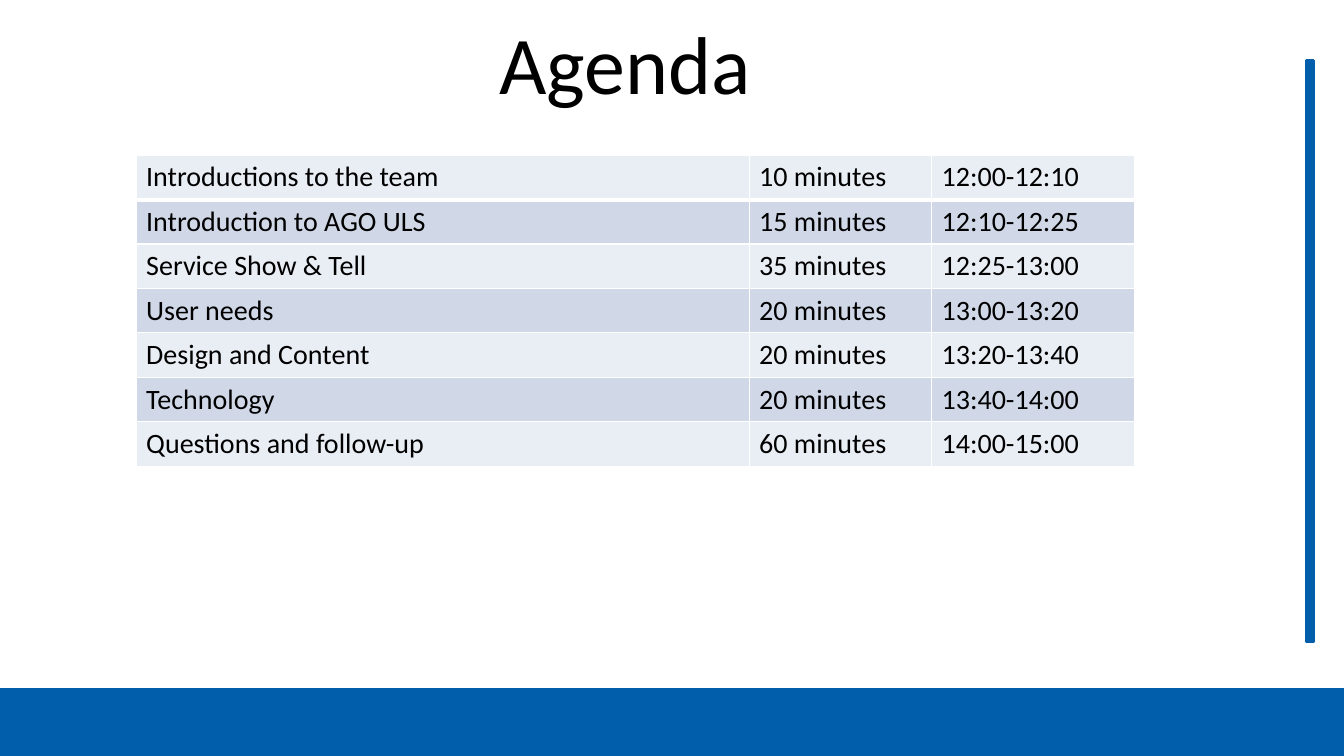
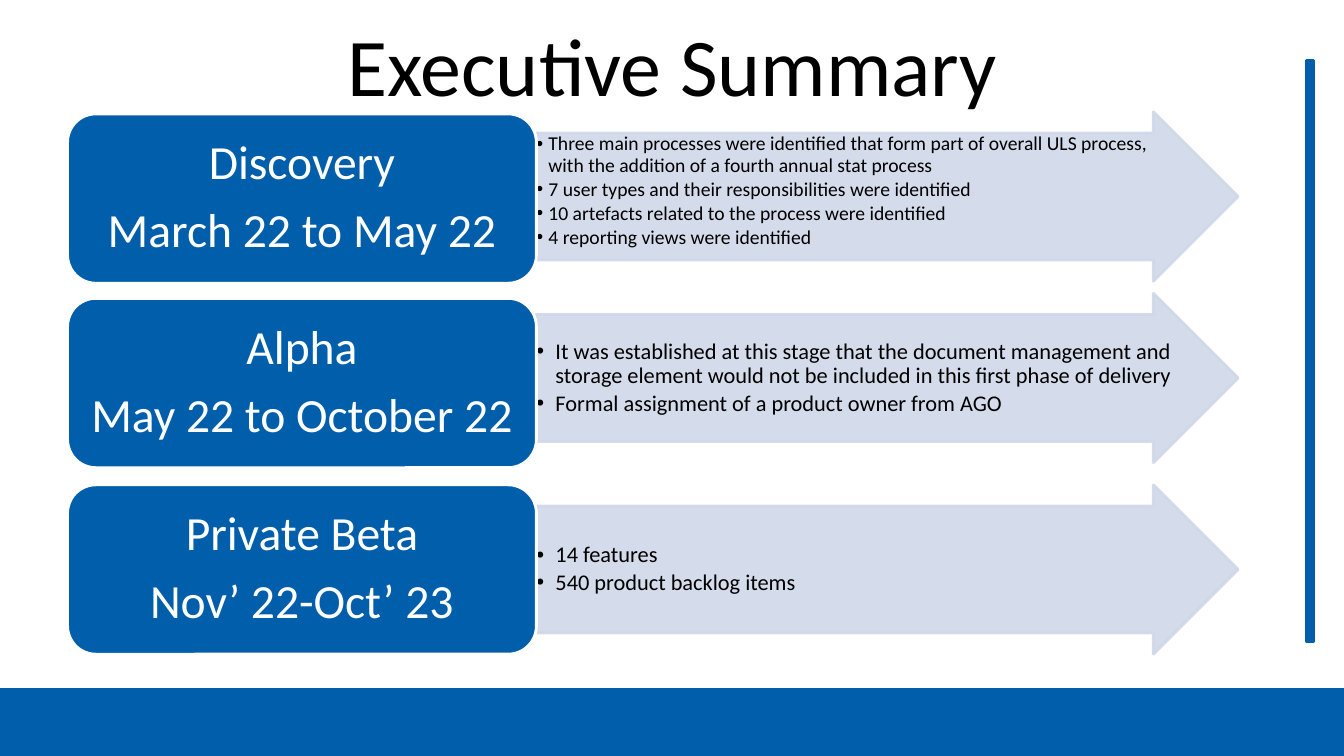
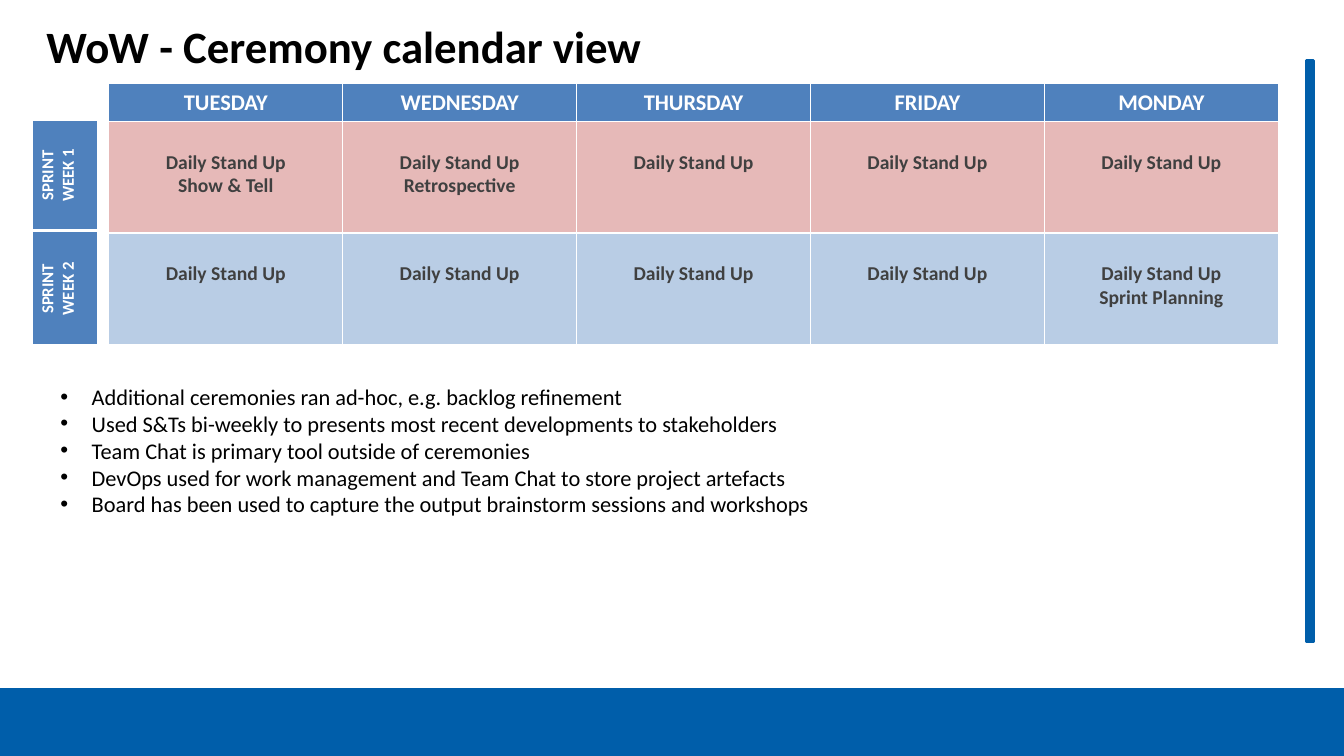
from lxml import etree
from pptx import Presentation
from pptx import util as u
from pptx.dml.color import RGBColor
from pptx.enum import shapes, text
from pptx.oxml.ns import qn

BLUE = RGBColor(0x00, 0x5E, 0xAA)
BLACK = RGBColor(0x00, 0x00, 0x00)
WHITE = RGBColor(0xFF, 0xFF, 0xFF)
GREY = RGBColor(0x40, 0x40, 0x40)
PALE = RGBColor(0xE9, 0xED, 0xF4)
MIST = RGBColor(0xD0, 0xD8, 0xE8)
HEADER = RGBColor(0x4F, 0x81, 0xBD)
PINK = RGBColor(0xE6, 0xB9, 0xB8)
SKY = RGBColor(0xB9, 0xCD, 0xE5)

LEFT, CENTER = text.PP_ALIGN.LEFT, text.PP_ALIGN.CENTER
TOP, MIDDLE = text.MSO_ANCHOR.TOP, text.MSO_ANCHOR.MIDDLE
TITLE_ONLY, TITLE_AND_BODY = 5, 1


class Deck:
    """Holds the shared style and the current slide."""

    font = "Calibri"

    def __init__(self):
        self.prs = Presentation()
        self.prs.slide_width = u.Inches(13.33)
        self.prs.slide_height = u.Inches(7.5)
        self.slide = None

    def add_slide(self, layout=TITLE_ONLY):
        self.slide = self.prs.slides.add_slide(self.prs.slide_layouts[layout])

    def place(self, sp, box):
        sp.left, sp.top, sp.width, sp.height = (u.Inches(v) for v in box)

    def add_lines(self, tf, lines, size, color=BLACK, bold=False, align=LEFT,
                  spacing=1.0, after=0.0, indent=None):
        for i, line in enumerate(lines):
            p = tf.paragraphs[0] if i == 0 else tf.add_paragraph()
            p.alignment = align
            p.line_spacing = spacing
            p.space_before = u.Pt(0)
            p.space_after = u.Pt(round(size * after, 1))
            if indent:
                self.bullet(p, indent)
            r = p.add_run()
            r.text = line
            r.font.name = self.font
            r.font.size = u.Pt(size)
            r.font.bold = bold
            r.font.color.rgb = color

    def bullet(self, p, indent):
        pPr = p._p.get_or_add_pPr()
        pPr.set("marL", str(u.Inches(indent)))
        pPr.set("indent", str(u.Inches(-indent)))
        etree.SubElement(pPr, qn("a:buFont")).set("typeface", "Arial")
        etree.SubElement(pPr, qn("a:buChar")).set("char", "•")

    def title(self, line, box, size=58.5, bold=False, align=LEFT):
        sp = self.slide.shapes.title
        self.place(sp, box)
        tf = sp.text_frame
        tf.auto_size = text.MSO_AUTO_SIZE.NONE
        tf.vertical_anchor = TOP
        self.add_lines(tf, [line], size, bold=bold, align=align)

    def body(self, lines, box, size, indent):
        sp = self.slide.placeholders[1]
        self.place(sp, box)
        sp.text_frame.auto_size = text.MSO_AUTO_SIZE.NONE
        self.add_lines(sp.text_frame, lines, size, indent=indent)

    def shape(self, kind, box, fill, line):
        sp = self.slide.shapes.add_shape(kind, *(u.Inches(v) for v in box))
        sp.shadow.inherit = False
        sp.fill.solid()
        sp.fill.fore_color.rgb = fill
        sp.line.color.rgb = line
        sp.line.width = u.Pt(2)
        return sp

    def master_band(self, box):
        sp = self.shape(shapes.MSO_SHAPE.RECTANGLE, box, BLUE, BLUE)
        tree = self.prs.slide_master.shapes._spTree
        sp._element.nvSpPr.cNvPr.set("id", str(100 + len(tree)))
        tree.append(sp._element)

    def fill_text(self, sp, lines, size, margins, anchor=MIDDLE, **style):
        tf = sp.text_frame
        tf.word_wrap = True
        tf.vertical_anchor = anchor
        tf.margin_left = tf.margin_right = u.Inches(margins[0])
        tf.margin_top = tf.margin_bottom = u.Inches(margins[1])
        self.add_lines(tf, lines, size, spacing=0.9, **style)

    def arrow(self, box, lines, size, indent, anchor):
        sp = self.shape(shapes.MSO_SHAPE.RIGHT_ARROW, box, MIST, MIST)
        sp.adjustments[0], sp.adjustments[1] = 0.75, 0.5
        for clr in sp._element.spPr.iter(qn("a:srgbClr")):
            etree.SubElement(clr, qn("a:alpha")).set("val", "90000")
        self.fill_text(sp, lines, size, (0.01, 0.01), anchor,
                       after=0.15, indent=indent)

    def phase(self, box, lines):
        sp = self.shape(shapes.MSO_SHAPE.ROUNDED_RECTANGLE, box, BLUE, WHITE)
        self.fill_text(sp, lines, 34, (0.14, 0.07), color=WHITE,
                       align=CENTER, after=0.35)

    def table(self, left, top, cols, rows):
        box = (left, top, sum(cols), sum(rows))
        frame = self.slide.shapes.add_table(
            len(rows), len(cols), *(u.Inches(v) for v in box))
        table = frame.table
        table.first_row = table.horz_banding = False
        for col, width in zip(table.columns, cols):
            col.width = u.Inches(width)
        for row, height in zip(table.rows, rows):
            row.height = u.Inches(height)
        return table

    def cell(self, cell, lines, size, fill, bottom=1, margin_top=0.05, **style):
        cell.fill.solid()
        cell.fill.fore_color.rgb = fill
        cell.margin_top = u.Inches(margin_top)
        tcPr = cell._tc.get_or_add_tcPr()
        borders = (("L", 1), ("R", 1), ("T", 1), ("B", bottom))
        for i, (side, width) in enumerate(borders):
            ln = etree.Element(qn("a:ln" + side), w=str(u.Pt(width)))
            solid = etree.SubElement(ln, qn("a:solidFill"))
            etree.SubElement(solid, qn("a:srgbClr")).set("val", str(WHITE))
            tcPr.insert(i, ln)
        self.add_lines(cell.text_frame, lines, size, **style)


def agenda(deck):
    deck.title("Agenda", (4.85, 0.07, 2.9, 1.02))
    items = [
        ("Introductions to the team", "10 minutes", "12:00-12:10"),
        ("Introduction to AGO ULS", "15 minutes", "12:10-12:25"),
        ("Service Show & Tell", "35 minutes", "12:25-13:00"),
        ("User needs", "20 minutes", "13:00-13:20"),
        ("Design and Content", "20 minutes", "13:20-13:40"),
        ("Technology", "20 minutes", "13:40-14:00"),
        ("Questions and follow-up", "60 minutes", "14:00-15:00"),
    ]
    table = deck.table(1.35, 1.54, [6.08, 1.81, 2.01], [0.44] * len(items))
    for i, item in enumerate(items):
        for j, value in enumerate(item):
            deck.cell(table.cell(i, j), [value], 20, MIST if i % 2 else PALE,
                      bottom=1 if i else 3)


def summary(deck):
    deck.title("Executive Summary", (0.67, 0.09, 12, 1.25), align=CENTER)
    phases = [
        (1.11, 1.13, ["Discovery", "March 22 to May 22"], 14, 0.12, TOP, [
            "Three main processes were identified that form part of overall "
            "ULS process, with the addition of a fourth annual stat process",
            "7 user types and their responsibilities were identified",
            "10 artefacts related to the process were identified",
            "4 reporting views were identified"]),
        (2.91, 2.96, ["Alpha", "May 22 to October 22"], 16, 0.19, MIDDLE, [
            "It was established at this stage that the document management and "
            "storage element would not be included in this first phase of delivery",
            "Formal assignment of a product owner from AGO"]),
        (4.81, 4.81, ["Private Beta", "Nov’ 22-Oct’ 23"], 16, 0.19, MIDDLE, [
            "14 features",
            "540 product backlog items"]),
    ]
    for arrow_top, top, names, size, indent, anchor, points in phases:
        deck.arrow((5.31, arrow_top, 6.97, 1.68), points, size, indent, anchor)
        deck.phase((0.67, top, 4.65, 1.68), names)


def calendar(deck):
    deck.title("WoW - Ceremony calendar view", (0.36, 0.14, 11.13, 0.69),
               size=32, bold=True)
    days = ["TUESDAY", "WEDNESDAY", "THURSDAY", "FRIDAY", "MONDAY"]
    extras = {(1, 0): "Show & Tell", (1, 1): "Retrospective",
              (2, 4): "Sprint Planning"}
    table = deck.table(1.08, 0.83, [2.32] * len(days), [0.37, 1.11, 1.11])
    for j, day in enumerate(days):
        deck.cell(table.cell(0, j), [day], 16, HEADER,
                  color=WHITE, bold=True, align=CENTER)
        for i, fill in ((1, PINK), (2, SKY)):
            lines = ["Daily Stand Up"]
            if (i, j) in extras:
                lines.append(extras[i, j])
            deck.cell(table.cell(i, j), lines, 14, fill, margin_top=0.29,
                      color=GREY, bold=True, align=CENTER)
    for week, top, height in ((1, 1.19, 1.1), (2, 2.3, 1.13)):
        label = deck.table(0.32, top, [0.65], [height]).cell(0, 0)
        deck.cell(label, ["SPRINT", f"WEEK {week}"], 12, HEADER, bottom=3,
                  color=WHITE, bold=True, align=CENTER)
        label._tc.get_or_add_tcPr().set("vert", "vert270")
    deck.body([
        "Additional ceremonies ran ad-hoc, e.g. backlog refinement",
        "Used S&Ts bi-weekly to presents most recent developments to stakeholders",
        "Team Chat is primary tool outside of ceremonies",
        "DevOps used for work management and Team Chat to store project artefacts",
        "Board has been used to capture the output brainstorm sessions and workshops",
    ], (0.5, 3.75, 12.34, 1.45), 16, 0.31)


def main():
    deck = Deck()
    deck.add_slide()
    deck.master_band((0, 6.84, 13.33, 0.66))
    deck.master_band((12.96, 0.6, 0.07, 5.77))
    agenda(deck)
    deck.add_slide()
    summary(deck)
    deck.add_slide(TITLE_AND_BODY)
    calendar(deck)
    deck.prs.save("out.pptx")


if __name__ == "__main__":
    main()
